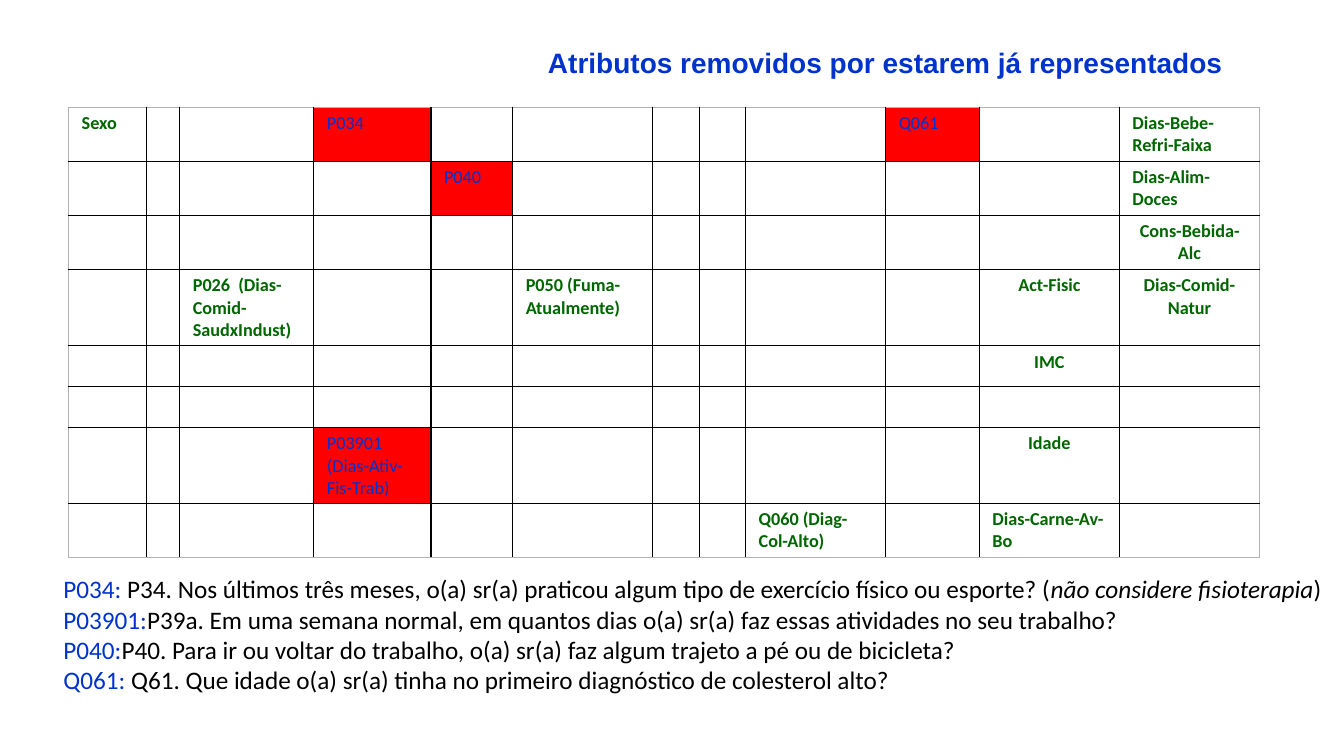
from lxml import etree
from pptx import Presentation
from pptx.dml.color import RGBColor as RGB
from pptx.enum.text import MSO_ANCHOR as ANCHOR, PP_ALIGN as AL
from pptx.oxml.ns import qn
from pptx.util import Cm, Pt

COLORS = {
    "blue": "0033CC", "green": "006600", "red": "FF0000",
    "black": "000000", "white": "FFFFFF", "grey": "B2B2B2",
}
COLS = [1.96, 0.84, 3.38, 2.95, 2.06, 3.53, 1.17, 1.17, 3.53, 2.36, 3.53, 3.53]
ROWS = [1.36, 1.36, 1.36, 1.92, 1.03, 1.03, 1.89, 1.36]
KEPT = {
    (0, 0): ("Sexo", AL.LEFT),
    (0, 11): ("Dias-Bebe-Refri-Faixa", AL.LEFT),
    (1, 11): ("Dias-Alim-Doces", AL.LEFT),
    (2, 11): ("Cons-Bebida-Alc", AL.CENTER),
    (3, 2): ("P026  (Dias-Comid-SaudxIndust)", AL.LEFT),
    (3, 5): ("P050 (Fuma-Atualmente)", AL.LEFT),
    (3, 10): ("Act-Fisic", AL.CENTER),
    (3, 11): ("Dias-Comid-Natur", AL.CENTER),
    (4, 10): ("IMC", AL.CENTER),
    (6, 10): ("Idade", AL.CENTER),
    (7, 8): ("Q060 (Diag-Col-Alto)", AL.LEFT),
    (7, 10): ("Dias-Carne-Av-Bo", AL.LEFT),
}
REMOVED = {
    (0, 3): "P034",
    (0, 9): "Q061",
    (1, 4): "P040",
    (6, 3): "P03901 (Dias-Ativ-Fis-Trab)",
}
QUESTIONS = [
    ("P034: ", "P34. Nos últimos três meses, o(a) sr(a) praticou algum tipo de "
     "exercício físico ou esporte? (", "não considere fisioterapia", ")"),
    ("P03901:", "P39a. Em uma semana normal, em quantos dias o(a) sr(a) faz "
     "essas atividades no seu trabalho?"),
    ("P040:", "P40. Para ir ou voltar do trabalho, o(a) sr(a) faz algum trajeto "
     "a pé ou de bicicleta?"),
    ("Q061: ", "Q61. Que idade o(a) sr(a) tinha no primeiro diagnóstico de "
     "colesterol alto?"),
]
TITLE = {"name": "Arial", "size": Pt(20), "bold": True, "color": "blue"}
CELL = {"name": "Calibri", "size": Pt(13), "bold": True, "color": "green"}
CELL_OUT = {**CELL, "bold": False, "color": "blue"}
BODY = {"name": "Calibri", "size": Pt(18), "color": "black"}
CODE = {**BODY, "color": "blue"}
NOTE = {**BODY, "italic": True}


class Deck:
    def __init__(self, width, height):
        self.prs = Presentation()
        self.prs.slide_width, self.prs.slide_height = Cm(width), Cm(height)
        self.slide = self.prs.slides.add_slide(self.prs.slide_layouts[6])

    def color(self, name):
        return RGB.from_string(COLORS[name])

    def run(self, p, text, style):
        r = p.add_run()
        r.text = text
        for key, value in style.items():
            if key == "color":
                r.font.color.rgb = self.color(value)
            else:
                setattr(r.font, key, value)

    def text(self, x, y, w, h, paragraphs, align=AL.LEFT):
        tf = self.slide.shapes.add_textbox(Cm(x), Cm(y), Cm(w), Cm(h)).text_frame
        tf.word_wrap = True
        for i, runs in enumerate(paragraphs):
            p = tf.add_paragraph() if i else tf.paragraphs[0]
            p.alignment = align
            for text, style in runs:
                self.run(p, text, style)

    def border(self, cell, side, color):
        ln = etree.SubElement(cell._tc.get_or_add_tcPr(), qn(f"a:ln{side}"), w=str(Pt(1)))
        fill = etree.SubElement(ln, qn("a:solidFill"))
        etree.SubElement(fill, qn("a:srgbClr"), val=COLORS[color])

    def cell(self, cell, edges, fill):
        for side, outer in edges.items():
            self.border(cell, side, "grey" if outer else "black")
        cell.fill.solid()
        cell.fill.fore_color.rgb = self.color(fill)
        margins = {"margin_left": 0.33, "margin_right": 0.33,
                   "margin_top": 0.13, "margin_bottom": 0.13}
        for key, value in margins.items():
            setattr(cell, key, Cm(value))
        cell.vertical_anchor = ANCHOR.TOP

    def table(self, x, y, cols, rows, kept, removed):
        frame = self.slide.shapes.add_table(
            len(rows), len(cols), Cm(x), Cm(y), Cm(sum(cols)), Cm(sum(rows)))
        table = frame.table
        table.first_row = table.horz_banding = False
        for column, width in zip(table.columns, cols):
            column.width = Cm(width)
        for i, height in enumerate(rows):
            table.rows[i].height = Cm(height)
            for j in range(len(cols)):
                cell = table.cell(i, j)
                edges = {"L": j == 0, "R": j == len(cols) - 1,
                         "T": i == 0, "B": i == len(rows) - 1}
                self.cell(cell, edges, "red" if (i, j) in removed else "white")
                p = cell.text_frame.paragraphs[0]
                if (i, j) in removed:
                    self.run(p, removed[i, j], CELL_OUT)
                elif (i, j) in kept:
                    text, p.alignment = kept[i, j]
                    self.run(p, text, CELL)


def main():
    deck = Deck(33.87, 19.05)
    deck.text(1.73, 1.02, 29.34, 1.12,
              [[("Atributos removidos por estarem já representados", TITLE)]], AL.RIGHT)
    deck.table(1.73, 2.7, COLS, ROWS, KEPT, REMOVED)
    deck.text(1.35, 14.33, 32.26, 4.11,
              [zip(parts, (CODE, BODY, NOTE, BODY)) for parts in QUESTIONS])
    deck.prs.save("out.pptx")


if __name__ == "__main__":
    main()
